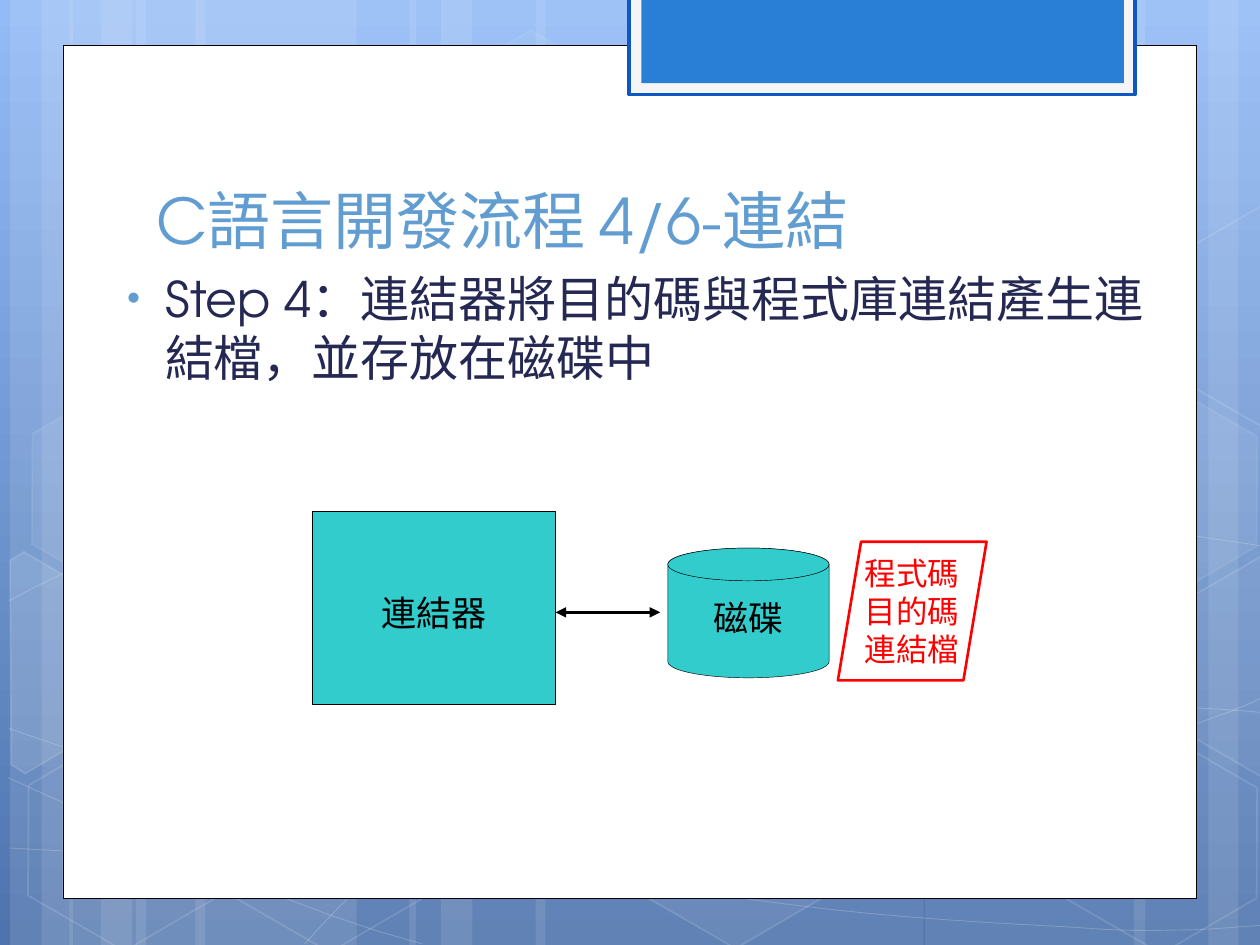
from lxml import etree
from pptx import Presentation
from pptx import util as u
from pptx.dml.color import RGBColor
from pptx.enum import shapes, text
from pptx.oxml import ns

COLORS = {
    "sky": "93BBF6", "deep": "4F74AD", "white": "FFFFFF", "black": "000000",
    "tab_frame": "F5F5F5", "tab_line": "0E58C4", "tab": "297FD5",
    "title": "629DD1", "body": "242852", "teal": "33CCCC", "red": "FF0000",
}
HEADING_FONT = "TeX Gyre Adventor"
SHAPE = shapes.MSO_SHAPE
ALIGN = text.PP_ALIGN
ANCHOR = text.MSO_ANCHOR

# Backdrop stripes: left, width
STRIPES = [(1.08, 1.75), (0.08, 0.5), (0.33, 0.83), (1.55, 1.75), (0.55, 0.5), (0.8, 0.83),
           (7.34, 1.75), (9.59, 0.5), (9, 0.83), (4.25, 3.08), (3.25, 0.5), (3.5, 0.83)]
# Backdrop curves: a start point, then three Bezier points per segment
CURVES = [
    [(0.07, 6.73), (0.61, 6.76), (1.15, 6.79), (1.9, 6.78), (2.65, 6.77), (3.58, 6.75),
     (4.58, 6.65), (5.58, 6.55), (7, 6.36), (7.92, 6.17), (8.83, 5.98), (9.77, 5.68),
     (10.07, 5.51)],
    [(0.07, 4.77), (0.36, 4.61), (0.65, 4.46), (1.21, 4.31), (1.78, 4.16), (2.59, 3.94),
     (3.47, 3.87), (4.36, 3.8), (5.44, 3.79), (6.54, 3.87), (7.64, 3.95), (9.47, 4.26),
     (10.07, 4.34)],
    [(0.06, 6.17), (1.27, 6.72), (2.47, 7.27), (3.35, 7.49)],
    [(0.07, 5.78), (0.38, 5.89), (0.7, 6), (1.28, 6.16), (1.86, 6.31), (2.73, 6.56),
     (3.57, 6.73), (4.4, 6.9), (5.45, 7.08), (6.28, 7.18), (7.11, 7.29), (8, 7.33),
     (8.53, 7.36), (9.06, 7.4), (9.19, 7.38), (9.45, 7.38), (9.71, 7.37), (9.89, 7.35),
     (10.07, 7.34)],
    [(2.42, 7.49), (2.6, 7.29), (2.78, 7.09), (3.02, 6.91), (3.26, 6.72), (3.6, 6.53),
     (3.88, 6.39), (4.16, 6.25), (4.33, 6.19), (4.69, 6.09), (5.06, 5.99), (5.73, 5.85),
     (6.08, 5.78), (6.44, 5.71), (6.49, 5.71), (6.8, 5.69), (7.11, 5.66), (7.6, 5.63),
     (7.94, 5.62), (8.29, 5.61), (8.86, 5.62), (8.86, 5.62), (9.08, 5.62), (9.31, 5.62),
     (9.53, 5.62), (9.71, 5.63), (9.88, 5.64), (10.06, 5.66)],
]
# Whole hexagons: left, top, fill opacity, line opacity
HEXAGONS = [(3.34, 0.36, 4, 8), (4.96, 5.89, 6, 12), (0.11, 5.91, 0, 12), (0.14, 3.12, 7, 8),
            (1.74, 5.92, 0, 12), (7.53, 4.53, 10, 12), (8.34, 5.93, 0, 12), (8.34, 3.14, 7, 8)]
# Hexagons cut off by the slide edge: fill opacity, corners
CUT_HEXAGONS = [
    (10, [(0.08, 4.45), (0.19, 4.38), (0.96, 4.83), (0.95, 5.7), (0.2, 6.14), (0.09, 6.07)]),
    (4, [(9.26, 4.85), (10.02, 4.41), (10.09, 4.46), (10.09, 6.13), (10.02, 6.17), (9.26, 5.73)]),
    (0, [(9.26, 2.07), (10.02, 1.63), (10.1, 1.68), (10.09, 3.35), (10.02, 3.39), (9.26, 2.95)]),
]


def rgb(name):
    return RGBColor.from_string(COLORS[name])


def bezier(points, steps=8):
    """Return points along a chain of cubic Bezier segments."""
    result = [points[0]]
    for i in range(0, len(points) - 1, 3):
        segment = points[i:i + 4]
        for t in (n / steps for n in range(1, steps + 1)):
            weights = ((1 - t) ** 3, 3 * t * (1 - t) ** 2, 3 * t * t * (1 - t), t ** 3)
            result.append(tuple(sum(w * pt[axis] for w, pt in zip(weights, segment))
                                for axis in (0, 1)))
    return result


class SlideBuilder:
    def __init__(self, slide):
        self.s = slide

    def set_alpha(self, parent, opacity):
        color = parent.find(ns.qn("a:solidFill"))[0]
        etree.SubElement(color, ns.qn("a:alpha"), val=str(opacity * 1000))

    def style(self, sp, fill=None, line=None, weight=0.5, fill_alpha=100, line_alpha=100):
        sp.shadow.inherit = False
        if fill and fill_alpha:
            sp.fill.solid()
            sp.fill.fore_color.rgb = rgb(fill)
            if fill_alpha < 100:
                self.set_alpha(sp._element.spPr, fill_alpha)
        else:
            sp.fill.background()
        if line:
            sp.line.color.rgb = rgb(line)
            sp.line.width = u.Pt(weight)
            if line_alpha < 100:
                self.set_alpha(sp.line._get_or_add_ln(), line_alpha)
        else:
            sp.line.fill.background()
        return sp

    def shape(self, kind, left, top, width, height, **style):
        sp = self.s.shapes.add_shape(kind, *map(u.Inches, (left, top, width, height)))
        return self.style(sp, **style)

    def outline(self, points, close=False, **style):
        pts = [(u.Inches(x), u.Inches(y)) for x, y in points]
        builder = self.s.shapes.build_freeform(*pts[0])
        builder.add_line_segments(pts[1:], close=close)
        return self.style(builder.convert_to_shape(), **style)

    def format(self, p, size, font, color, align):
        p.alignment = align
        p.font.size, p.font.name = u.Pt(size), font
        p.font.color.rgb = rgb(color)

    def label(self, sp, lines, size, font="Times New Roman", color="black", wrap=True, top=0.05):
        tf = sp.text_frame
        tf.word_wrap, tf.vertical_anchor = wrap, ANCHOR.MIDDLE
        tf.margin_top = u.Inches(top)
        tf.text = lines
        for p in tf.paragraphs:
            self.format(p, size, font, color, ALIGN.CENTER)

    def placeholder(self, index, box, content, size, color, anchor):
        sp = self.s.placeholders[index]
        self.s.shapes._spTree.append(sp._element)  # in front of the backdrop
        sp.left, sp.top, sp.width, sp.height = map(u.Inches, box)
        tf = sp.text_frame
        tf.word_wrap, tf.vertical_anchor = True, anchor
        tf.auto_size = text.MSO_AUTO_SIZE.NONE
        tf.text = content
        p = tf.paragraphs[0]
        self.format(p, size, HEADING_FONT, color, ALIGN.LEFT)
        return p

    def bullet(self, p, char, color, percent, margin, indent):
        pPr = p._p.get_or_add_pPr()
        pPr.set("marL", str(u.Inches(margin)))
        pPr.set("indent", str(u.Inches(indent)))
        bu_color = etree.Element(ns.qn("a:buClr"))
        etree.SubElement(bu_color, ns.qn("a:srgbClr"), val=COLORS[color])
        bu_size = etree.Element(ns.qn("a:buSzPct"), val=str(percent * 1000))
        bu_char = etree.Element(ns.qn("a:buChar"), char=char)
        pPr.find(ns.qn("a:defRPr")).addprevious(bu_color)
        bu_color.addnext(bu_size)
        bu_size.addnext(bu_char)

    def double_arrow(self, x1, x2, y, weight):
        line = self.s.shapes.add_connector(shapes.MSO_CONNECTOR.STRAIGHT,
                                           *map(u.Inches, (x1, y, x2, y)))
        line.line.color.rgb = rgb("black")
        line.line.width = u.Pt(weight)
        for end in ("a:headEnd", "a:tailEnd"):
            etree.SubElement(line.line._get_or_add_ln(), ns.qn(end), type="triangle")
        etree.SubElement(line._element.spPr, ns.qn("a:effectLst"))


def main():
    prs = Presentation()
    prs.slide_width, prs.slide_height = u.Inches(10), u.Inches(7.5)
    s = prs.slides.add_slide(prs.slide_layouts[1])
    b = SlideBuilder(s)

    # Backdrop
    fill = s.background.fill
    fill.gradient()
    fill.gradient_angle = 270
    for stop, color in zip(fill.gradient_stops, ("sky", "deep")):
        stop.color.rgb = rgb(color)
    for left, width in STRIPES:
        b.shape(SHAPE.RECTANGLE, left, 0, width, 7.5, fill="white", fill_alpha=10)
    for points in CURVES:
        b.outline(bezier(points), line="white", line_alpha=20)
    for left, top, fill_alpha, line_alpha in HEXAGONS:
        sp = b.shape(SHAPE.HEXAGON, left, top, 1.75, 1.52, fill="white", line="white",
                     weight=1, fill_alpha=fill_alpha, line_alpha=line_alpha)
        sp.adjustments[0] = 0.285
        sp.rotation = 30
    for fill_alpha, corners in CUT_HEXAGONS:
        b.outline(corners, close=True, fill="white", line="white", weight=1,
                  fill_alpha=fill_alpha, line_alpha=12)

    # White panel and top tab
    b.shape(SHAPE.RECTANGLE, 0.5, 0.36, 9, 6.77, fill="white", line="black")
    b.shape(SHAPE.RECTANGLE, 4.99, -0.02, 4.02, 0.77, fill="tab_frame", line="tab_line", weight=2)
    b.shape(SHAPE.RECTANGLE, 5.09, -0.02, 3.83, 0.68, fill="tab")

    # Title and step text
    b.placeholder(0, (1.14, 0.84, 7.68, 1.25), "C語言開發流程 4/6-連結", 36, "title", ANCHOR.BOTTOM)
    p = b.placeholder(1, (0.83, 2.08, 8.42, 1.27),
                      "Step 4：連結器將目的碼與程式庫連結產生連結檔，並存放在磁碟中",
                      28, "body", ANCHOR.TOP)
    p.space_before = u.Pt(7)
    b.bullet(p, "•", "title", 76, 0.38, -0.3)

    # Linker, disk and the arrow between them
    b.double_arrow(4.41, 5.24, 4.86, 2)
    linker = b.shape(SHAPE.RECTANGLE, 2.48, 4.06, 1.93, 1.53, fill="teal", line="black", weight=0.25)
    b.label(linker, "連結器", 20, top=0.12)
    disk = b.shape(SHAPE.CAN, 5.3, 4.35, 1.28, 1.03, fill="teal", line="black", weight=0.25)
    b.label(disk, "磁碟", 20, top=0)
    b.shape(SHAPE.OVAL, 5.3, 4.35, 1.28, 0.26, fill="teal", line="black", weight=0.25)

    # Files kept on the disk
    files = b.shape(SHAPE.PARALLELOGRAM, 6.65, 4.3, 1.18, 1.1, line="red", weight=1.5)
    files.adjustments[0] = 0.167
    b.label(files, "程式碼\n目的碼\n連結檔", 18, "Arial", "red", wrap=False)

    prs.save("out.pptx")


if __name__ == "__main__":
    main()
